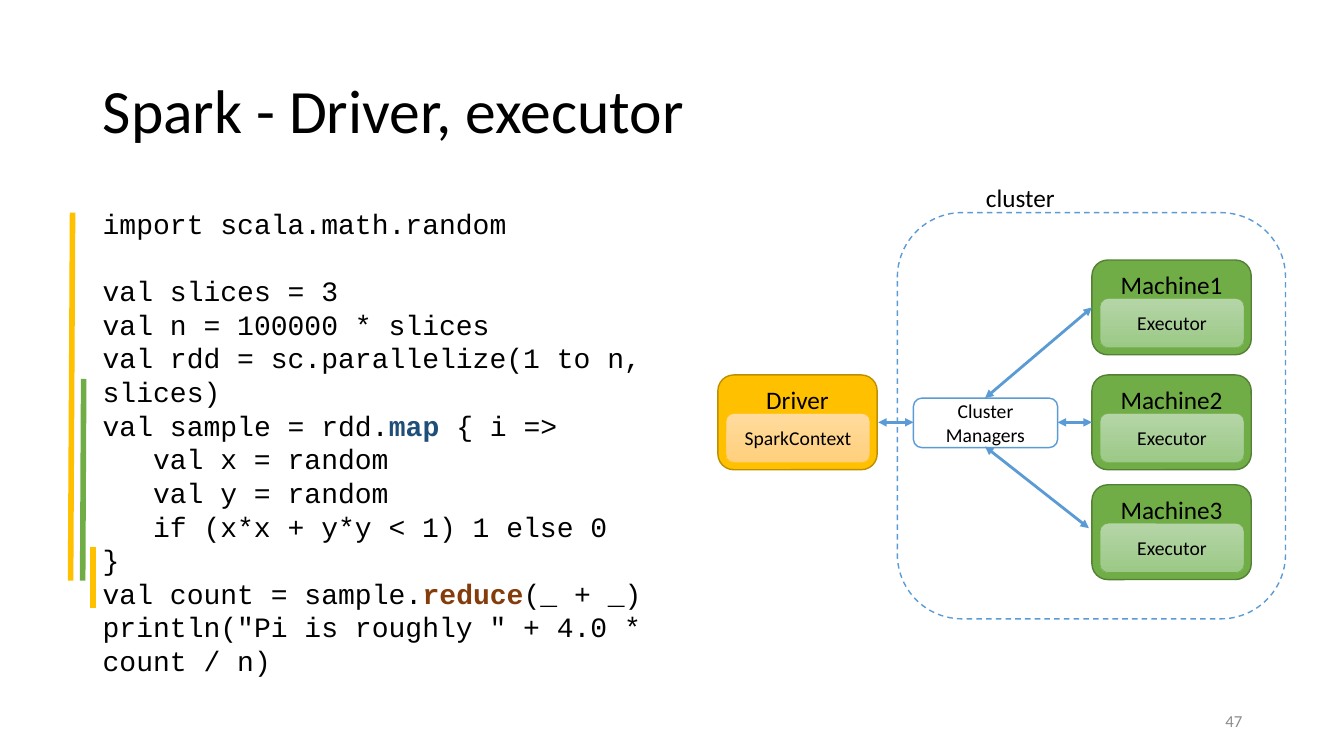
"""Build a slide on the driver and executors of a Spark cluster."""
from dataclasses import dataclass
from typing import Any, Optional

from lxml import etree
from pptx import Presentation, util as u
from pptx.dml.color import RGBColor
from pptx.enum import dml, shapes, text
from pptx.oxml.ns import qn

PX = 9144


@dataclass(frozen=True)
class Theme:
    black: str = "000000"
    white: str = "FFFFFF"
    gray: str = "8C8C8C"
    blue: str = "5B9BD5"
    navy: str = "1F4E79"
    brown: str = "843C0B"
    gold: str = "FFC000"
    ochre: str = "BD8E00"
    green: str = "70AD47"
    moss: str = "538035"
    cream: tuple[str, str] = ("FFDB9E", "FFD07C")
    mint: tuple[str, str] = ("B5D5A7", "9CC987")
    sans: str = "Calibri"
    mono: str = "Courier New"
    title: int = 44
    code: int = 20
    label: int = 18
    small: int = 14
    page: int = 12


T = Theme()


@dataclass(frozen=True)
class Box:
    left: int
    top: int
    wide: int
    high: int

    def emu(self) -> list[int]:
        return [n * PX for n in (self.left, self.top, self.wide, self.high)]


@dataclass(frozen=True)
class Node:
    name: str
    role: str
    left: int
    top: int
    fill: str
    edge: str
    tint: tuple[str, str]


@dataclass(frozen=True)
class Line:
    start: tuple[int, int]
    end: tuple[int, int]
    color: str = T.blue
    width: int = 2
    heads: bool = True


@dataclass(frozen=True)
class Bit:
    words: str
    color: str = T.black
    bold: bool = False


@dataclass(frozen=True)
class Row:
    bits: tuple[Bit, ...]
    gap: int = 0


NODES = [
    Node("Driver", "SparkContext", 712, 372, T.gold, T.ochre, T.cream),
    *(Node(f"Machine{i}", "Executor", 1083, top, T.green, T.moss, T.mint)
      for i, top in enumerate((258, 372, 481), 1)),
]

LINES = [
    Line((977, 395), (1083, 305)),
    Line((1080, 524), (977, 443)),
    Line((1083, 419), (1049, 419)),
    Line((871, 419), (906, 419)),
    Line((83, 376), (82, 576), T.green, 4, False),
    Line((92, 543), (92, 603), T.gold, 4, False),
    Line((72, 211), (70, 576), T.gold, 4, False),
]

CODE = [
    Row((Bit("import scala.math.random"),), gap=24),
    Row((Bit("val slices = 3"),)),
    Row((Bit("val n = 100000 * slices"),)),
    Row((Bit("val rdd = sc.parallelize(1 to n, slices)"),)),
    Row((Bit("val sample = rdd."), Bit("map", T.navy, True), Bit(" { i =>"))),
    Row((Bit("\tval x = random"),)),
    Row((Bit("\tval y = random"),)),
    Row((Bit("\tif (x*x + y*y < 1) 1 else 0"),)),
    Row((Bit("}"),)),
    Row((Bit("val count = sample."), Bit("reduce", T.brown, True), Bit("(_ + _)"))),
    Row((Bit('println("Pi is roughly " + 4.0 * count / n)'),)),
]


def write(shape: Any, rows: list[Row], *, size: int, font: str = T.sans,
          align: Any = text.PP_ALIGN.LEFT, anchor: Any = text.MSO_ANCHOR.TOP,
          space: Any = None, right: int = 10) -> None:
    frame = shape.text_frame
    frame.word_wrap = True
    frame.auto_size = text.MSO_AUTO_SIZE.NONE
    frame.vertical_anchor = anchor
    frame.margin_right = right * PX
    for i, row in enumerate(rows):
        para = frame.add_paragraph() if i else frame.paragraphs[0]
        para.alignment = align
        para.space_after = u.Pt(row.gap)
        if space is not None:
            para.line_spacing = space
        for bit in row.bits:
            run = para.add_run()
            run.text = bit.words
            run.font.name = font
            run.font.size = u.Pt(size)
            run.font.bold = bit.bold
            run.font.color.rgb = RGBColor.from_string(bit.color)


def plain(words: str, color: str = T.black) -> list[Row]:
    return [Row((Bit(words, color),))]


def panel(slide: Any, box: Box, edge: str, width: float = 1,
          fill: Optional[str] = None, tint: Optional[tuple[str, str]] = None) -> Any:
    shape = slide.shapes.add_shape(shapes.MSO_SHAPE.ROUNDED_RECTANGLE, *box.emu())
    shape.shadow.inherit = False
    shape.line.color.rgb = RGBColor.from_string(edge)
    shape.line.width = u.Pt(width)
    if tint:
        shape.fill.gradient()
        shape.fill.gradient_angle = 270
        for stop, color, place in zip(shape.fill.gradient_stops, tint, (0, 1)):
            stop.color.rgb = RGBColor.from_string(color)
            stop.position = place
    elif fill:
        shape.fill.solid()
        shape.fill.fore_color.rgb = RGBColor.from_string(fill)
    else:
        shape.fill.background()
    return shape


def card(slide: Any, node: Node) -> None:
    mid = text.PP_ALIGN.CENTER
    outer = panel(slide, Box(node.left, node.top, 158, 94), node.edge, fill=node.fill)
    write(outer, plain(node.name), size=T.label, align=mid)
    inner = panel(slide, Box(node.left + 8, node.top + 38, 143, 49),
                  node.fill, 0.5, tint=node.tint)
    write(inner, plain(node.role), size=T.small, align=mid,
          anchor=text.MSO_ANCHOR.MIDDLE)


def link(slide: Any, line: Line) -> None:
    ends = [n * PX for n in line.start + line.end]
    shape = slide.shapes.add_connector(shapes.MSO_CONNECTOR.STRAIGHT, *ends)
    shape.line.color.rgb = RGBColor.from_string(line.color)
    shape.line.width = u.Pt(line.width)
    props = shape.element.spPr
    if line.heads:
        for tag in ("a:headEnd", "a:tailEnd"):
            etree.SubElement(props.find(qn("a:ln")), qn(tag), type="triangle")
    etree.SubElement(props, qn("a:effectLst"))


def main() -> None:
    deck = Presentation()
    deck.slide_width, deck.slide_height = 1333 * PX, 750 * PX
    slide = deck.slides.add_slide(deck.slide_layouts[5])
    mid = text.MSO_ANCHOR.MIDDLE

    title = slide.shapes.title
    title.left, title.top, title.width, title.height = Box(92, 40, 1150, 145).emu()
    write(title, plain("Spark - Driver, executor"), size=T.title, anchor=mid, space=0.9)

    page = slide.shapes.add_textbox(*Box(942, 695, 300, 40).emu())
    write(page, plain("47", T.gray), size=T.page, align=text.PP_ALIGN.RIGHT, anchor=mid)
    code = slide.shapes.add_textbox(*Box(92, 200, 684, 414).emu())
    write(code, CODE, size=T.code, font=T.mono, space=u.Pt(24), right=80)

    for node in NODES:
        card(slide, node)
    hub = panel(slide, Box(906, 395, 143, 49), T.blue, fill=T.white)
    write(hub, plain("Cluster Managers"), size=T.small,
          align=text.PP_ALIGN.CENTER, anchor=mid)
    for line in LINES:
        link(slide, line)

    zone = panel(slide, Box(890, 211, 385, 403), T.blue)
    zone.line.dash_style = dml.MSO_LINE.DASH
    name = slide.shapes.add_textbox(*Box(968, 176, 89, 40).emu())
    write(name, plain("cluster"), size=T.label)
    deck.save("out.pptx")


if __name__ == "__main__":
    main()
